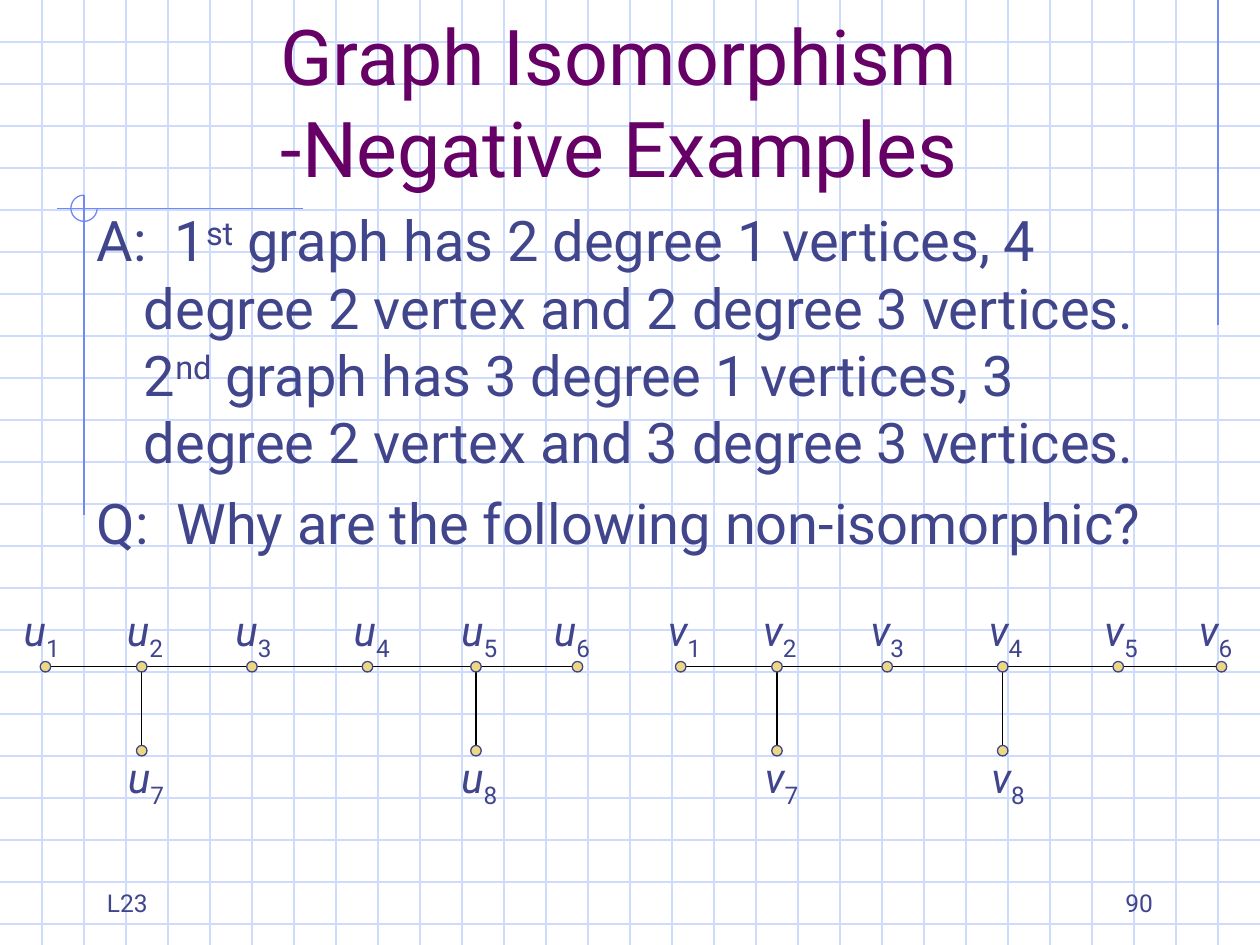
from pptx import Presentation
from pptx.dml.color import RGBColor
from pptx.enum.shapes import MSO_CONNECTOR as CONN, MSO_SHAPE as SHAPE
from pptx.enum.text import MSO_ANCHOR as ANCHOR, MSO_AUTO_SIZE as AUTO, PP_ALIGN as ALIGN
from pptx.oxml.ns import qn
from pptx.util import Pt
from lxml.etree import SubElement

WIDTH, HEIGHT, GRID = 720, 540, 24
GRID_BLUE, ACCENT, PURPLE, INK = "CFDBFD", "6F89F7", "660066", "40458C"
YELLOW, BLACK = "ECD882", "000000"
NODE, TOP_Y, LOW_Y = 6, 381, 429
LABEL_TOP, LOW_LABEL_TOP = 342, 426

# name: (x of vertices 1-6, left of labels 1-8, label width, parents of 7 and 8)
GRAPHS = {
    "u": ([26, 81, 144, 210, 272, 330],
          [6.5, 65.5, 127.5, 195, 256.5, 309.5, 66, 256.5], 36, (2, 5)),
    "v": ([389, 444, 507, 573, 639, 698],
          [374.5, 429, 490.5, 558, 624, 678, 430, 559.5], 33, (2, 4)),
}

ANSWER = [("A:  1", 0), ("st", 30),
          (" graph has 2 degree 1 vertices, 4 degree 2 vertex and 2 degree 3 vertices.  2", 0),
          ("nd", 30),
          (" graph has 3 degree 1 vertices, 3 degree 2 vertex and 3 degree 3 vertices.", 0)]
QUESTION = [("Q:  Why are the following non-isomorphic?", 0)]


def rgb(color):
    return RGBColor.from_string(color)


def set_font(font, size, color, **extra):
    for name, value in {"name": "Roboto", "size": Pt(size), **extra}.items():
        setattr(font, name, value)
    font.color.rgb = rgb(color)


def add_run(p, text, size, color=INK, base=0, **extra):
    r = p.add_run()
    r.text = text
    set_font(r.font, size, color, **extra)
    if base:
        r.font._element.set("baseline", str(base * 1000))


def place(sp, left, top, width, height):
    box = {"left": left, "top": top, "width": width, "height": height}
    for name, value in box.items():
        setattr(sp, name, Pt(value))


def setup_frame(sp, **extra):
    tf = sp.text_frame
    for name, value in {"word_wrap": True, "auto_size": AUTO.NONE, **extra}.items():
        setattr(tf, name, value)
    return tf


def add_line(s, x1, y1, x2, y2, color):
    line = s.shapes.add_connector(CONN.STRAIGHT, Pt(x1), Pt(y1), Pt(x2), Pt(y2))
    line.line.color.rgb = rgb(color)
    line.line.width = Pt(0.75)
    SubElement(line._element.spPr, qn("a:effectLst"))


def add_round(s, kind, x, y, size, color):
    """Add a round shape centred on x, y."""
    sp = s.shapes.add_shape(kind, Pt(x - size / 2), Pt(y - size / 2), Pt(size), Pt(size))
    sp.shadow.inherit = False
    sp.line.color.rgb = rgb(color)
    sp.line.width = Pt(0.75)
    return sp


def add_node(s, x, y):
    sp = add_round(s, SHAPE.OVAL, x, y, NODE, INK)
    sp.fill.solid()
    sp.fill.fore_color.rgb = rgb(YELLOW)


def add_label(s, letter, number, left, top, width):
    sp = s.shapes.add_textbox(Pt(left), Pt(top), Pt(width), Pt(40))
    p = setup_frame(sp, word_wrap=False).paragraphs[0]
    add_run(p, letter, 24, italic=True)
    add_run(p, str(number), 24, base=-25)


def add_footer(s, text, left, align):
    sp = s.shapes.add_textbox(Pt(left), Pt(492), Pt(150), Pt(36))
    p = setup_frame(sp, vertical_anchor=ANCHOR.BOTTOM).paragraphs[0]
    p.alignment = align
    add_run(p, text, 14)


def add_backdrop(s):
    # Squared paper
    for y in range(GRID, HEIGHT, GRID):
        add_line(s, 0, y, WIDTH, y, GRID_BLUE)
    for x in range(GRID, WIDTH, GRID):
        add_line(s, x, 0, x, HEIGHT, GRID_BLUE)
    # Accent lines and the open ring where two of them cross
    for ends in [(696, 0, 696, 186), (173, 119, 32.5, 119), (48, 111.5, 48, 294.5)]:
        add_line(s, *ends, ACCENT)
    ring = add_round(s, SHAPE.ARC, 48, 119, 15, ACCENT)
    ring.adjustments[0], ring.adjustments[1] = 0, 162  # 0 to 270 degrees
    ring.fill.background()


def fill_title(sp):
    place(sp, 48, 24, 612, 90)
    p = setup_frame(sp, vertical_anchor=ANCHOR.BOTTOM).paragraphs[0]
    p.alignment = ALIGN.CENTER
    add_run(p, "Graph Isomorphism", 44, PURPLE)
    p.add_line_break()
    add_run(p, "-Negative Examples", 44, PURPLE)


def fill_body(sp):
    place(sp, 48, 114, 642, 324)
    tf = setup_frame(sp, vertical_anchor=ANCHOR.TOP)
    for i, runs in enumerate([ANSWER, QUESTION]):
        p = tf.add_paragraph() if i else tf.paragraphs[0]
        p.space_before = Pt(8 if i else 0)
        pPr = p._p.get_or_add_pPr()
        pPr.set("marL", str(Pt(27)))
        pPr.set("indent", str(Pt(-27)))
        SubElement(pPr, qn("a:buNone"))
        for text, base in runs:
            add_run(p, text, 32, base=base)


def add_graph(s, letter, xs, lefts, width, parents):
    low_xs = [xs[n - 1] for n in parents]
    # Edges first, so that the vertices cover their ends
    for x1, x2 in zip(xs, xs[1:]):
        add_line(s, x1, TOP_Y, x2, TOP_Y, BLACK)
    for x in low_xs:
        add_line(s, x, TOP_Y, x, LOW_Y, BLACK)
    for x, y in [(x, TOP_Y) for x in xs] + [(x, LOW_Y) for x in low_xs]:
        add_node(s, x, y)
    for number, left in enumerate(lefts, 1):
        top = LABEL_TOP if number <= len(xs) else LOW_LABEL_TOP
        add_label(s, letter, number, left, top, width)


def main():
    prs = Presentation()
    prs.slide_width, prs.slide_height = Pt(WIDTH), Pt(HEIGHT)
    s = prs.slides.add_slide(prs.slide_layouts[1])
    title, body = s.shapes.title, s.placeholders[1]
    add_backdrop(s)
    # Bring the placeholders in front of the backdrop
    for sp in (title, body):
        s.shapes._spTree.append(sp._element)
    fill_title(title)
    fill_body(body)
    for letter, graph in GRAPHS.items():
        add_graph(s, letter, *graph)
    add_footer(s, "L23", 54, ALIGN.LEFT)
    add_footer(s, "90", 516, ALIGN.RIGHT)
    prs.save("out.pptx")


if __name__ == "__main__":
    main()
